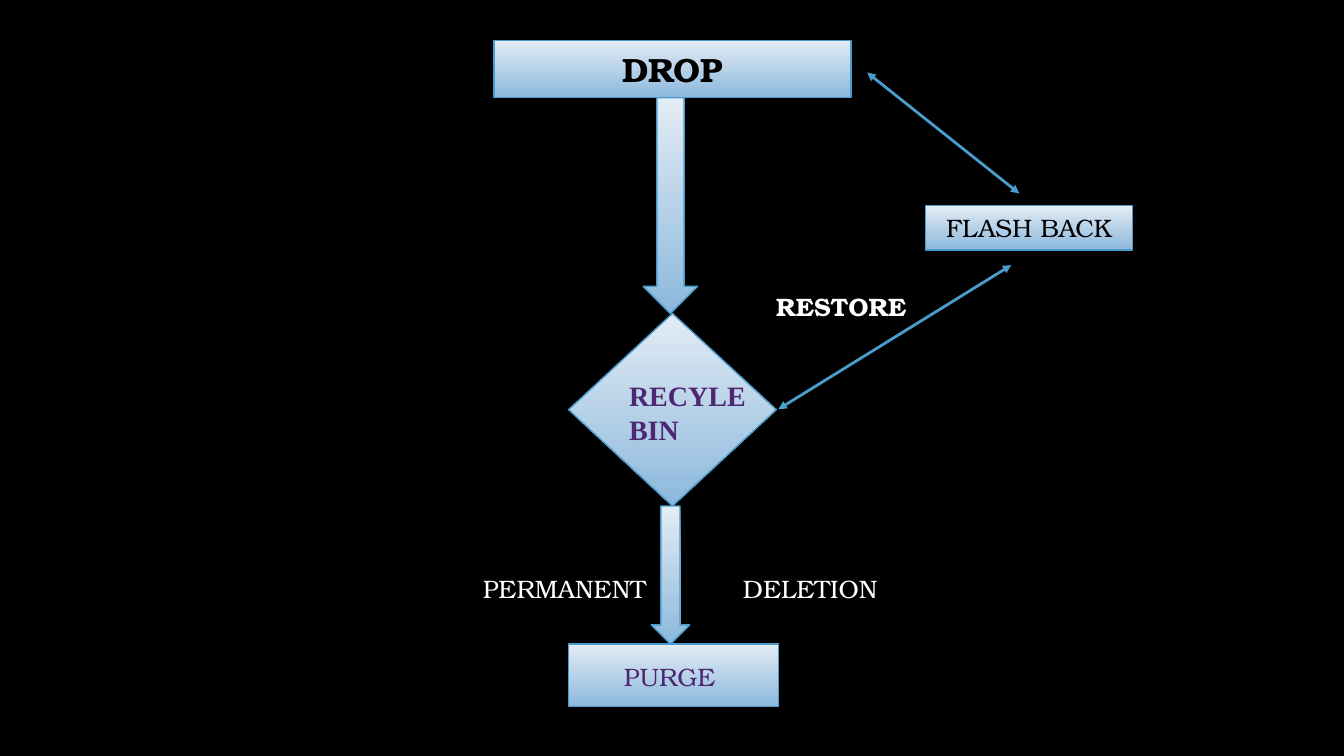
import pptx
import pptx.dml.color
import pptx.enum.shapes
import pptx.enum.text
import pptx.oxml
import pptx.oxml.ns
import pptx.util

RGBColor = pptx.dml.color.RGBColor
Inches = pptx.util.Inches
Pt = pptx.util.Pt
SHAPE = pptx.enum.shapes.MSO_SHAPE
ALIGN = pptx.enum.text.PP_ALIGN

BLACK = RGBColor(0x00, 0x00, 0x00)
WHITE = RGBColor(0xFF, 0xFF, 0xFF)
PURPLE = RGBColor(0x4D, 0x27, 0x71)
PALE_BLUE = RGBColor(0xE3, 0xEC, 0xF5)
MID_BLUE = RGBColor(0x8C, 0xB8, 0xDC)
EDGE_BLUE = RGBColor(0x4A, 0x9C, 0xCC)

SERIF = "TeX Gyre Bonum"
TIMES = "Times New Roman"


def add_element(parent, tag, **attributes):
    element = pptx.oxml.parse_xml(f"<a:{tag} {pptx.oxml.ns.nsdecls('a')}/>")
    for name, value in attributes.items():
        element.set(name, value)
    parent.append(element)
    return element


class FlowSlide:
    def __init__(self, prs):
        self.slide = prs.slides.add_slide(prs.slide_layouts[6])
        fill = self.slide.background.fill
        fill.solid()
        fill.fore_color.rgb = BLACK

    def style_text(self, tf, size, color, bold=False, font=SERIF, align=ALIGN.LEFT):
        for p in tf.paragraphs:
            p.alignment = align
            for r in p.runs:
                r.font.name = font
                r.font.size = Pt(size)
                r.font.bold = bold
                r.font.color.rgb = color

    def block(self, kind, left, top, width, height, text="", size=18, bold=False):
        """Add a gradient shape, with centred black text if any."""
        sp = self.slide.shapes.add_shape(
            kind, Inches(left), Inches(top), Inches(width), Inches(height))
        sp.shadow.inherit = False
        sp.fill.gradient()
        sp.fill.gradient_angle = 270
        for stop, color in zip(sp.fill.gradient_stops, (PALE_BLUE, MID_BLUE)):
            stop.color.rgb = color
        sp.line.color.rgb = EDGE_BLUE
        sp.line.width = Pt(1)
        if text:
            tf = sp.text_frame
            tf.text = text
            tf.vertical_anchor = pptx.enum.text.MSO_ANCHOR.MIDDLE
            self.style_text(tf, size, BLACK, bold, align=ALIGN.CENTER)

    def label(self, left, top, width, height, text, size=18, color=WHITE,
              bold=False, font=SERIF, tab=None):
        box = self.slide.shapes.add_textbox(
            Inches(left), Inches(top), Inches(width), Inches(height))
        tf = box.text_frame
        tf.word_wrap = True
        tf.auto_size = pptx.enum.text.MSO_AUTO_SIZE.SHAPE_TO_FIT_TEXT
        tf.text = text
        if tab:
            tabs = add_element(tf.paragraphs[0]._p.get_or_add_pPr(), "tabLst")
            add_element(tabs, "tab", pos=str(Inches(tab)), algn="l")
        self.style_text(tf, size, color, bold, font)

    def double_arrow(self, x1, y1, x2, y2):
        line = self.slide.shapes.add_connector(
            pptx.enum.shapes.MSO_CONNECTOR.STRAIGHT,
            Inches(x1), Inches(y1), Inches(x2), Inches(y2))
        line.line.color.rgb = EDGE_BLUE
        line.line.width = Pt(2)
        ln = line.line._get_or_add_ln()
        for end in ("headEnd", "tailEnd"):
            add_element(ln, end, type="triangle")
        add_element(line._element.spPr, "effectLst")


def main():
    prs = pptx.Presentation()
    prs.slide_width = Inches(13.33)
    prs.slide_height = Inches(7.5)
    s = FlowSlide(prs)

    s.block(SHAPE.RECTANGLE, 4.9, 0.4, 3.54, 0.57, "DROP", size=24, bold=True)
    s.block(SHAPE.DOWN_ARROW, 6.38, 0.97, 0.54, 2.14)
    s.block(SHAPE.DIAMOND, 5.64, 3.11, 2.06, 1.91)
    s.label(6.14, 3.71, 2.15, 0.77, "RECYLE\nBIN", size=20, color=PURPLE,
            bold=True, font=TIMES)
    s.block(SHAPE.DOWN_ARROW, 6.46, 5.02, 0.38, 1.37)
    s.block(SHAPE.RECTANGLE, 5.64, 6.39, 2.08, 0.62)
    s.label(6.09, 6.51, 1.51, 0.4, "PURGE", color=PURPLE)
    s.block(SHAPE.RECTANGLE, 9.18, 2.04, 2.05, 0.44, "FLASH BACK")

    s.double_arrow(8.6, 0.72, 10.11, 1.92)
    s.double_arrow(7.72, 4.06, 10.03, 2.63)
    s.label(4.69, 5.64, 4.83, 0.4, "PERMANENT\tDELETION", tab=2.58)
    s.label(7.6, 2.84, 1.59, 0.4, "RESTORE", bold=True)

    prs.save("out.pptx")


if __name__ == "__main__":
    main()
